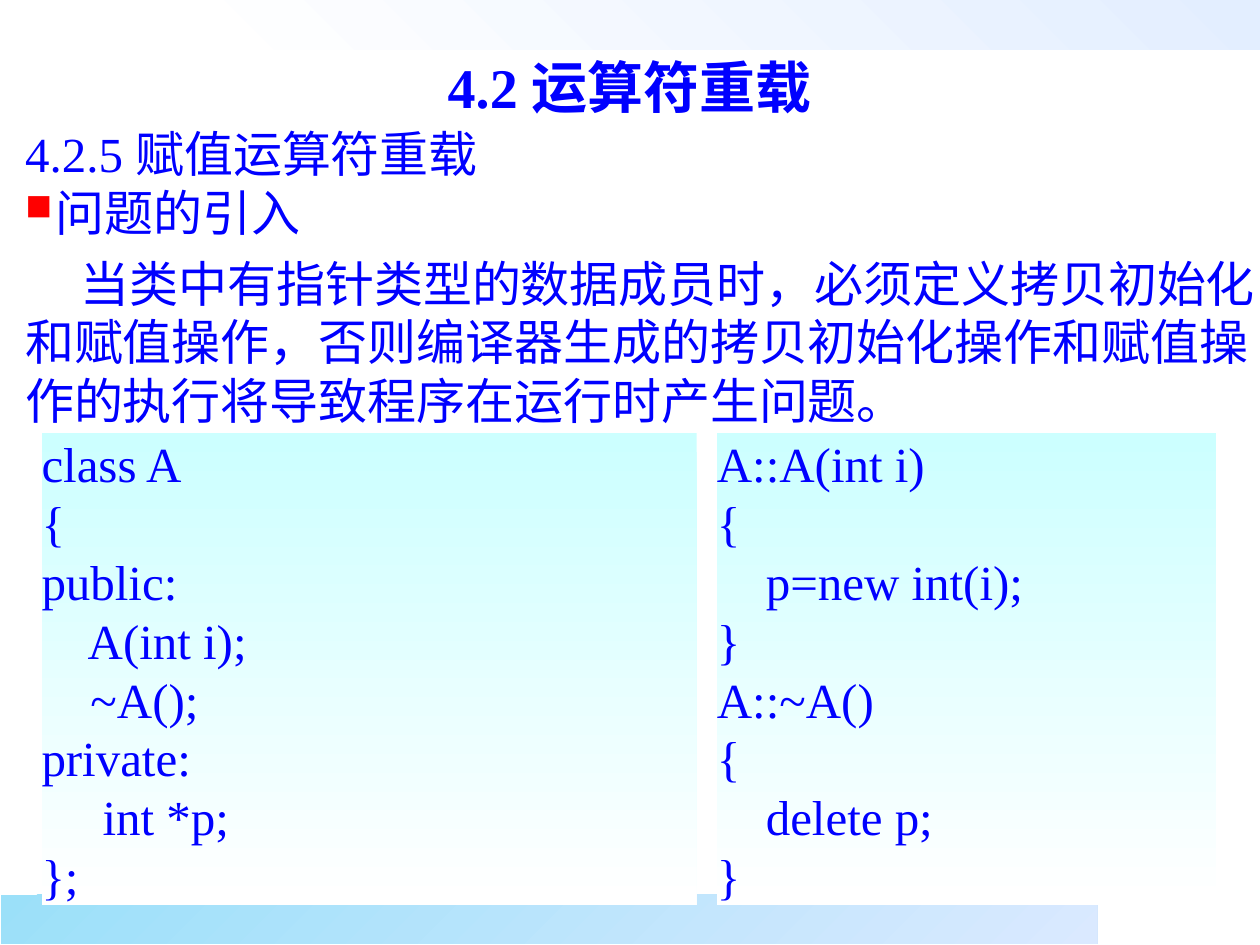
from pptx import Presentation
from pptx.dml.color import RGBColor
from pptx.enum.shapes import MSO_SHAPE
from pptx.enum.text import MSO_ANCHOR, PP_ALIGN
from pptx.oxml.ns import qn
from pptx.util import Inches, Pt
from lxml import etree

RECTANGLE = MSO_SHAPE.RECTANGLE
TOP, MIDDLE = MSO_ANCHOR.TOP, MSO_ANCHOR.MIDDLE
LEFT, CENTER = PP_ALIGN.LEFT, PP_ALIGN.CENTER

FONT = "Times New Roman"
BODY_SIZE = 28
COLORS = {
    "text": "0000FF",
    "bullet": "FF0000",
    "white": "FFFFFF",
    "header_end": "E3EEFF",
    "footer_start": "9BE0F9",
    "footer_end": "DAE9FF",
    "code_start": "CCFFFF",
}

CLASS_CODE = """class A
{
public:
    A(int i);
    ~A();
private:
     int *p;
};"""

MEMBER_CODE = """A::A(int i)
{
    p=new int(i);
}
A::~A()
{
    delete p;
}"""

EXPLANATION = (
    "当类中有指针类型的数据成员时，必须定义拷贝初始化和赋值操作，"
    "否则编译器生成的拷贝初始化操作和赋值操作的执行将导致程序在运行时产生问题。"
)


def add_gradient_panel(slide, box, start, end, angle):
    panel = slide.shapes.add_shape(RECTANGLE, *map(Inches, box))
    panel.shadow.inherit = False
    panel.line.fill.background()
    panel.fill.gradient()
    panel.fill.gradient_angle = angle
    for stop, color, position in zip(panel.fill.gradient_stops, (start, end), (0, 1)):
        stop.color.rgb = RGBColor.from_string(COLORS[color])
        stop.position = position
    return panel


def set_frame(frame, anchor, margin_x=0, margin_y=0):
    frame.word_wrap = True
    frame.vertical_anchor = anchor
    frame.margin_left = frame.margin_right = Inches(margin_x)
    frame.margin_top = frame.margin_bottom = Inches(margin_y)


def add_text_frame(slide, box, anchor, margin_x=0, margin_y=0):
    frame = slide.shapes.add_textbox(*map(Inches, box)).text_frame
    set_frame(frame, anchor, margin_x, margin_y)
    return frame


def write_line(paragraph, text, size=BODY_SIZE, bold=False, align=LEFT):
    paragraph.alignment = align
    run = paragraph.add_run()
    run.text = text
    run.font.name = FONT
    run.font.size = Pt(size)
    run.font.bold = bold
    run.font.color.rgb = RGBColor.from_string(COLORS["text"])


def set_indent(paragraph, left, first_line):
    properties = paragraph._p.get_or_add_pPr()
    properties.set("marL", str(Inches(left)))
    properties.set("indent", str(Inches(first_line)))
    return properties


def add_square_bullet(paragraph, hang):
    properties = set_indent(paragraph, hang, -hang)
    color = etree.SubElement(properties, qn("a:buClr"))
    etree.SubElement(color, qn("a:srgbClr"), val=COLORS["bullet"])
    etree.SubElement(properties, qn("a:buSzPct"), val="75000")
    etree.SubElement(properties, qn("a:buChar"), char="■")


def add_code_panel(slide, box, code):
    frame = add_gradient_panel(slide, box, "code_start", "white", 270).text_frame
    set_frame(frame, MIDDLE)
    for number, line in enumerate(code.splitlines()):
        paragraph = frame.add_paragraph() if number else frame.paragraphs[0]
        write_line(paragraph, line)
        paragraph.line_spacing = Pt(33.6)


def add_introduction(slide):
    frame = add_text_frame(slide, (0.2, 0.98, 9.8, 2.43), TOP)
    write_line(frame.paragraphs[0], "4.2.5 赋值运算符重载")

    topic = frame.add_paragraph()
    add_square_bullet(topic, 0.24)
    write_line(topic, "问题的引入")

    explanation = frame.add_paragraph()
    set_indent(explanation, 0, 0.44)
    write_line(explanation, EXPLANATION)
    explanation.space_before = Pt(7)

    for paragraph in frame.paragraphs:
        paragraph.line_spacing = Pt(33.6)


def add_title(slide):
    frame = add_text_frame(slide, (0, 0.36, 10, 0.64), MIDDLE, 0.1, 0.05)
    write_line(frame.paragraphs[0], "4.2 运算符重载", 32, True, CENTER)


def main():
    presentation = Presentation()
    presentation.slide_width = Inches(10)
    presentation.slide_height = Inches(7.5)
    slide = presentation.slides.add_slide(presentation.slide_layouts[6])

    add_gradient_panel(slide, (1.54, 0, 8.46, 0.39), "white", "header_end", 45)
    add_gradient_panel(slide, (0.01, 7.1, 8.7, 0.39), "footer_start", "footer_end", 315)
    add_introduction(slide)
    add_code_panel(slide, (5.69, 3.44, 3.96, 3.74), MEMBER_CODE)
    add_code_panel(slide, (0.33, 3.44, 5.2, 3.74), CLASS_CODE)
    add_title(slide)
    presentation.save("out.pptx")


if __name__ == "__main__":
    main()
